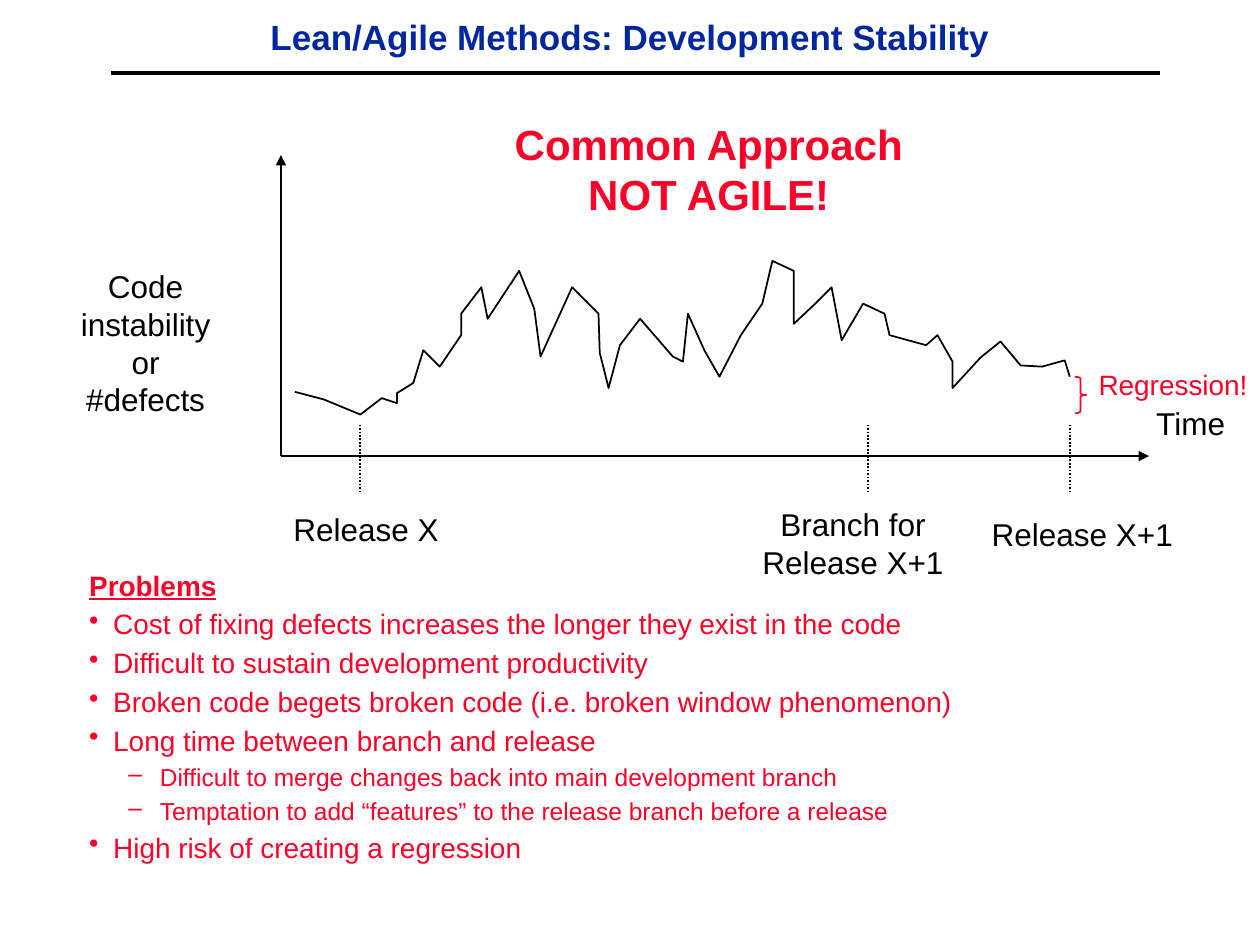
from lxml.etree import SubElement
from pptx import Presentation
from pptx.dml.color import RGBColor
from pptx.enum.dml import MSO_LINE
from pptx.enum.shapes import MSO_CONNECTOR, MSO_SHAPE
from pptx.enum.text import MSO_ANCHOR, PP_ALIGN
from pptx.oxml.ns import qn
from pptx.util import Inches, Pt

COLS, ROWS = 100, 75
HUES = {"ink": "000000", "title": "00279F", "alert": "FC0128"}
AXIS_X, AXIS_Y = 22.3, 36.2

CURVE = [
    (23.4, 31.1), (25.7, 31.7), (28.6, 32.9), (30.3, 31.6), (31.5, 32),
    (31.5, 31.2), (32.8, 30.4), (33.6, 27.8), (34.9, 29.1), (36.6, 26.6),
    (36.6, 24.9), (38.2, 22.8), (38.7, 25.3), (41.2, 21.5), (42.4, 24.5),
    (42.9, 28.3), (45.4, 22.8), (47.5, 24.9), (47.6, 28), (48.3, 30.8),
    (49.2, 27.4), (50.8, 25.3), (53.4, 28.3), (54.2, 28.7), (54.6, 24.9),
    (55.9, 27.8), (57.1, 29.9), (58.8, 26.6), (60.5, 24.1), (61.3, 20.7),
    (63, 21.5), (63, 25.7), (64.7, 24.1), (66, 22.8), (66.8, 27),
    (68.5, 24.1), (70.2, 24.9), (70.6, 26.6), (73.5, 27.4), (74.4, 26.6),
    (75.6, 28.7), (75.6, 30.8), (77.8, 28.4), (79.4, 27.1), (81, 29),
    (82.7, 29.1), (84.5, 28.6), (84.9, 29.9),
]

ISSUES = [
    (0, "Cost of fixing defects increases the longer they exist in the code"),
    (0, "Difficult to sustain development productivity"),
    (0, "Broken code begets broken code (i.e. broken window phenomenon)"),
    (0, "Long time between branch and release"),
    (1, "Difficult to merge changes back into main development branch"),
    (1, "Temptation to add “features” to the release branch before a release"),
    (0, "High risk of creating a regression"),
]
LEVELS = [("•", 16, 0.38, -0.19, 3), ("–", 14, 0.75, -0.25, 2.6)]


class Board:
    font = "Arial"

    def __init__(self, deck):
        self.wide = deck.slide_width
        self.high = deck.slide_height
        self.slide = deck.slides.add_slide(deck.slide_layouts[6])
        self.shapes = self.slide.shapes

    def col(self, n):
        return round(self.wide * n / COLS)

    def row(self, n):
        return round(self.high * n / ROWS)

    def place(self, x, y, w, h):
        return self.col(x), self.row(y), self.col(w), self.row(h)

    def hue(self, name):
        return RGBColor.from_string(HUES[name])

    def style(self, para, size, hue, bold=False, under=False):
        para.line_spacing = Pt(size * 1.2)
        for run in para.runs:
            font = run.font
            font.name, font.size = self.font, Pt(size)
            font.bold, font.underline = bold, under
            font.color.rgb = self.hue(hue)

    def text(self, box, words, size=18, hue="ink", bold=False,
             align=PP_ALIGN.CENTER, wrap=False, anchor=MSO_ANCHOR.TOP):
        frame = self.shapes.add_textbox(*self.place(*box)).text_frame
        frame.word_wrap = wrap
        frame.vertical_anchor = anchor
        frame.text = words
        for para in frame.paragraphs:
            para.alignment = align
            self.style(para, size, hue, bold)
        return frame

    def line(self, start, end, width=1, arrow=False, dots=False):
        line = self.shapes.add_connector(
            MSO_CONNECTOR.STRAIGHT, self.col(start[0]), self.row(start[1]),
            self.col(end[0]), self.row(end[1]))
        line.line.width = Pt(width)
        line.line.color.rgb = self.hue("ink")
        if dots:
            line.line.dash_style = MSO_LINE.ROUND_DOT
        if arrow:
            SubElement(line.line._get_or_add_ln(), qn("a:tailEnd"), type="triangle")
        SubElement(line._element.spPr, qn("a:effectLst"))

    def trace(self, shape, hue):
        shape.shadow.inherit = False
        shape.fill.background()
        shape.line.width = Pt(1)
        shape.line.color.rgb = self.hue(hue)

    def curve(self, points):
        spots = [(self.col(x), self.row(y)) for x, y in points]
        path = self.shapes.build_freeform(*spots[0])
        path.add_line_segments(spots[1:], close=False)
        self.trace(path.convert_to_shape(), "ink")

    def brace(self, box):
        shape = self.shapes.add_shape(MSO_SHAPE.RIGHT_BRACE, *self.place(*box))
        shape.adjustments[0] = 0.17
        self.trace(shape, "alert")

    def list(self, box, head, items):
        frame = self.text(box, head, 16, "alert", True, PP_ALIGN.LEFT, True)
        first = frame.paragraphs[0]
        self.style(first, 16, "alert", True, True)
        self.indent(first, LEVELS[0])
        for level, words in items:
            para = frame.add_paragraph()
            para.text, para.level = words, level
            mark, size = LEVELS[level][:2]
            self.indent(para, LEVELS[level])
            props = para._p.get_or_add_pPr()
            tint = SubElement(props, qn("a:buClr"))
            SubElement(tint, qn("a:srgbClr"), val=HUES["alert"])
            SubElement(props, qn("a:buChar"), char=mark)
            self.style(para, size, "alert")

    def indent(self, para, level):
        left, hang, after = level[2:]
        props = para._p.get_or_add_pPr()
        props.set("marL", str(Inches(left)))
        props.set("indent", str(Inches(hang)))
        para.space_after = Pt(after)


def main():
    deck = Presentation()
    deck.slide_width, deck.slide_height = Inches(10), Inches(7.5)
    board = Board(deck)

    board.line((8.8, 5.8), (92.1, 5.8), width=2)
    board.text((7.5, 0.8, 85, 4.2), "Lean/Agile Methods: Development Stability",
               20, "title", True, wrap=True, anchor=MSO_ANCHOR.MIDDLE)

    board.line((AXIS_X, AXIS_Y), (AXIS_X, 12.3), arrow=True)
    board.line((AXIS_X, AXIS_Y), (91.2, AXIS_Y), arrow=True)
    for x in (28.6, 68.9, 84.9):
        board.line((x, 33.7), (x, 39.2), dots=True)
    board.curve(CURVE)
    board.brace((85.3, 29.9, 0.9, 2.9))

    for box, words in (
        ((2.1, 20.7, 18.9, 13), "Code instability\nor\n#defects"),
        ((90.7, 31.6, 7.6, 4), "Time"),
        ((22.3, 40, 13.5, 4), "Release X"),
        ((59.5, 39.6, 16.4, 7), "Branch for\nRelease X+1"),
        ((77.7, 40.4, 16.4, 4), "Release X+1"),
    ):
        board.text(box, words)
    board.text((39.8, 8.9, 32.9, 9), "Common Approach\nNOT AGILE!",
               24, "alert", True)
    board.text((86.2, 28.7, 13.8, 3.6), "Regression!", 16, "alert",
               align=PP_ALIGN.LEFT)
    board.list((4.2, 44.6, 73.1, 24.5), "Problems", ISSUES)

    deck.save("out.pptx")


if __name__ == "__main__":
    main()
